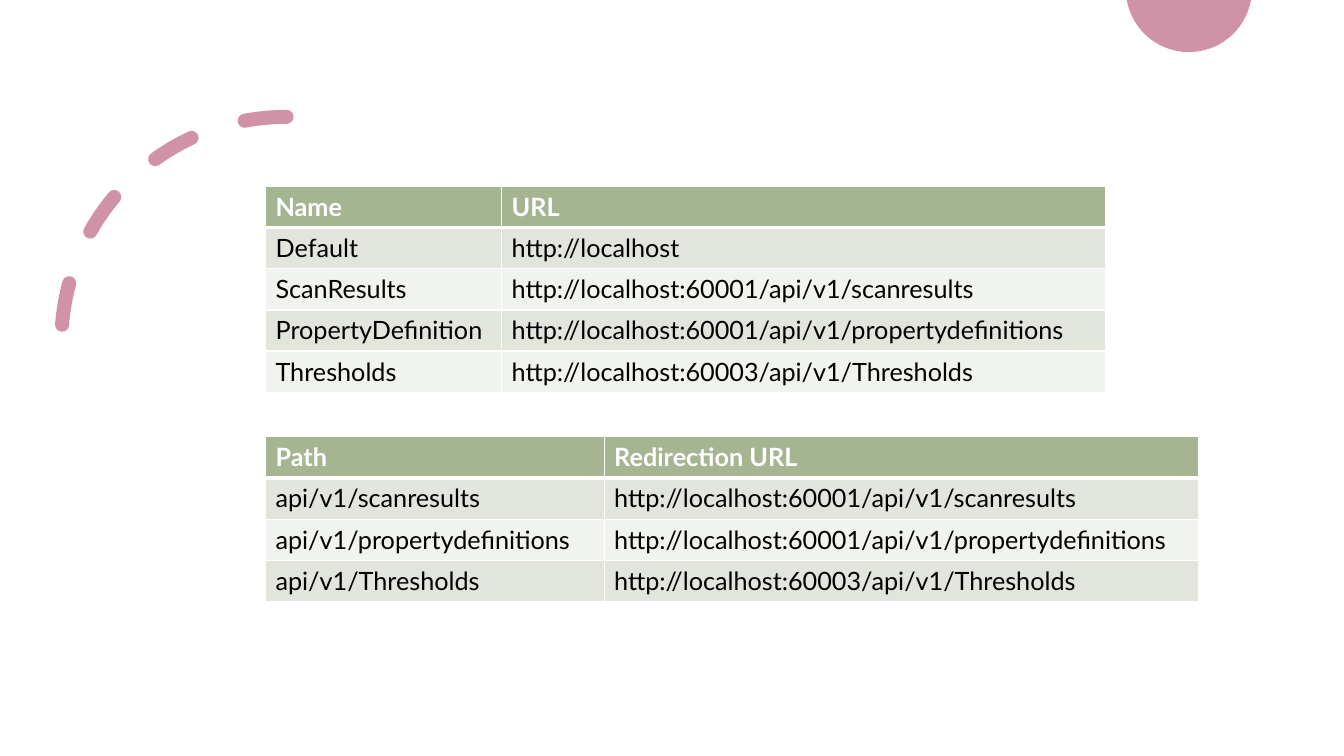
from math import cos, radians, sin

from lxml.etree import SubElement
from pptx import Presentation
from pptx.dml.color import RGBColor
from pptx.enum.dml import MSO_LINE
from pptx.enum.shapes import MSO_SHAPE
from pptx.oxml.ns import qn
from pptx.util import Inches, Pt

PINK = RGBColor(0xD0, 0x92, 0xA7)
GREEN = RGBColor(0xA5, 0xB5, 0x92)
BANDS = RGBColor(0xE1, 0xE5, 0xDC), RGBColor(0xF0, 0xF3, 0xEE)
WHITE = RGBColor(0xFF, 0xFF, 0xFF)
BLACK = RGBColor(0, 0, 0)
UNIT = Inches(7.5) / 9
LEFT = 3.16
HEIGHT = 0.49
HOST = "http://localhost"
SCAN, PROP, LIMIT = (
    f"api/v1/{end}" for end in ("scanresults", "propertydefinitions", "Thresholds")
)
SCAN_URL, PROP_URL = (f"{HOST}:60001/{end}" for end in (SCAN, PROP))
LIMIT_URL = f"{HOST}:60003/{LIMIT}"


def grid(*vals):
    """Turn columns or rows of the 16 by 9 grid into lengths."""
    return [round(val * UNIT) for val in vals]


def apply(item, style):
    """Set each format value on the item."""
    for key, val in style.items():
        setattr(item, key, val)


class Board:
    """Holds the text style and the current slide."""

    def __init__(self, deck):
        """Add a blank slide."""
        self.font = {"name": "Lato", "size": Pt(18)}
        self.shapes = deck.slides.add_slide(deck.slide_layouts[6]).shapes

    def disc(self, x, y, size):
        """Draw the part of a disc that lies below the top edge."""
        turn = [radians(deg) for deg in range(10, 171, 2)]
        dots = [grid(x + size * cos(a), max(0, y + size * sin(a))) for a in turn]
        form = self.shapes.build_freeform(*dots[0])
        form.add_line_segments(dots[1:])
        disc = form.convert_to_shape()
        disc.shadow.inherit = False
        disc.fill.solid()
        disc.fill.fore_color.rgb = PINK
        disc.line.fill.background()

    def arc(self, x, y, size):
        """Draw a dashed quarter ring from the top to the left."""
        arc = self.shapes.add_shape(MSO_SHAPE.ARC, *grid(x, y, size, size))
        arc.shadow.inherit = False
        arc.rotation = 180
        arc._element.spPr.xfrm.set("flipV", "1")
        arc.fill.background()
        arc.line.color.rgb = PINK
        apply(arc.line, {"width": Pt(10), "dash_style": MSO_LINE.DASH})
        arc.line._ln.set("cap", "rnd")

    def edge(self, cell, side, width):
        """Draw one white cell border."""
        props = cell._tc.get_or_add_tcPr()
        line = SubElement(props, qn(f"a:ln{side}"), w=str(Pt(width)))
        fill = SubElement(line, qn("a:solidFill"))
        SubElement(fill, qn("a:srgbClr"), val=str(WHITE))

    def cell(self, cell, text, row):
        """Fill one cell in the style of its row."""
        head = row == 0
        for side in "LRTB":
            thick = (row, side) in ((0, "B"), (1, "T"))
            self.edge(cell, side, 3 if thick else 1)
        cell.fill.solid()
        cell.fill.fore_color.rgb = GREEN if head else BANDS[(row - 1) % 2]
        cell.text = text
        font = cell.text_frame.paragraphs[0].runs[0].font
        apply(font, self.font | {"bold": head})
        font.color.rgb = WHITE if head else BLACK

    def table(self, y, cols, rows):
        """Add a table with a head row and banded rows."""
        box = grid(LEFT, y, sum(cols), HEIGHT * len(rows))
        table = self.shapes.add_table(len(rows), len(cols), *box).table
        for col, width in zip(table.columns, grid(*cols)):
            col.width = width
        for i, row in enumerate(rows):
            for j, text in enumerate(row):
                self.cell(table.cell(i, j), text, i)


deck = Presentation()
apply(deck, {"slide_width": Inches(13.33), "slide_height": Inches(7.5)})
board = Board(deck)
board.disc(14.15, -0.13, 0.75)
board.arc(0.73, 1.39, 5.36)
board.table(2.22, (2.81, 7.19), (
    ("Name", "URL"),
    ("Default", HOST),
    ("ScanResults", SCAN_URL),
    ("PropertyDefinition", PROP_URL),
    ("Thresholds", LIMIT_URL),
))
board.table(5.2, (4.03, 7.08), (
    ("Path", "Redirection URL"),
    (SCAN, SCAN_URL),
    (PROP, PROP_URL),
    (LIMIT, LIMIT_URL),
))
deck.save("out.pptx")
